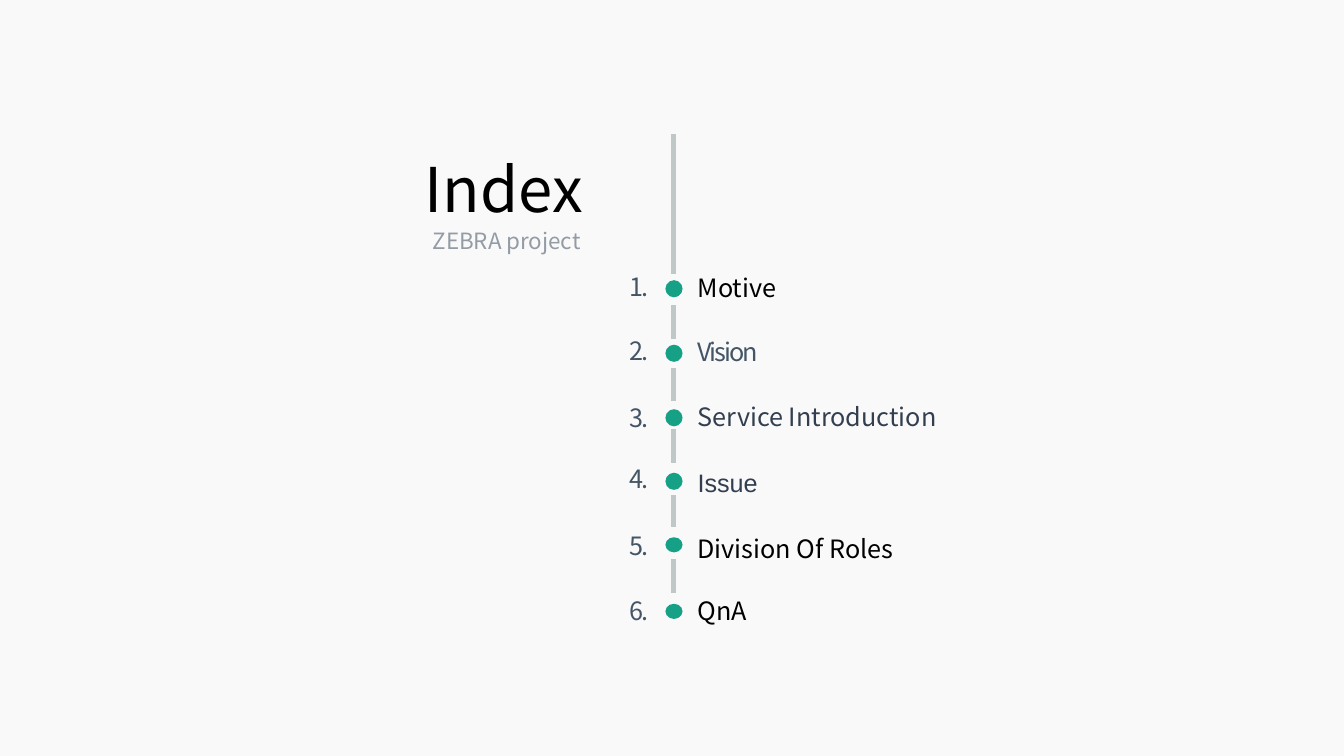
from pptx import Presentation
from pptx.dml.color import RGBColor
from pptx.enum.shapes import MSO_CONNECTOR, MSO_SHAPE
from pptx.enum.text import MSO_AUTO_SIZE as AutoSize, PP_ALIGN as Align
from pptx.oxml.ns import qn
from pptx.util import Inches, Pt
from lxml.etree import SubElement

BACKGROUND = RGBColor(0xF9, 0xF9, 0xF9)
GREEN = RGBColor(0x16, 0xA0, 0x85)
LINE_GRAY = RGBColor(0xBF, 0xC7, 0xC7)
SLATE = RGBColor(0x44, 0x55, 0x66)
NAVY = RGBColor(0x33, 0x3F, 0x50)
SUBTITLE_GRAY = RGBColor(0x93, 0x9B, 0xA5)
BLACK = RGBColor(0, 0, 0)
FONT = "Noto Sans CJK KR"

AXIS_X = 6.68
DOT_WIDTH = 0.17

# Label, its format, then tops of the label, the number and the dot, and dot height
TOPICS = [
    ("Motive", {"color": BLACK}, 2.65, 2.64, 2.78, 0.17),
    ("Vision", {"color": SLATE, "spacing": -1.5}, 3.29, 3.28, 3.42, 0.17),
    ("Service Introduction", {"color": NAVY}, 3.93, 3.94, 4.06, 0.17),
    ("Issue", {"color": NAVY, "font": "Arial"}, 4.59, 4.55, 4.69, 0.17),
    ("Division Of Roles", {"color": BLACK}, 5.24, 5.21, 5.33, 0.15),
    ("QnA", {"color": BLACK}, 5.86, 5.86, 5.99, 0.15),
]
# Top and bottom of each piece of the timeline
SEGMENTS = [(1.33, 2.72), (3.03, 3.36), (3.65, 3.98),
            (4.26, 4.59), (4.91, 5.23), (5.55, 5.88)]


def add_text(page, text, left, top, width, height=0.4, *, color, size=18,
             font=FONT, align=Align.LEFT, spacing=None):
    box = page.shapes.add_textbox(Inches(left), Inches(top),
                                  Inches(width), Inches(height))
    frame = box.text_frame
    frame.word_wrap = True
    frame.auto_size = AutoSize.SHAPE_TO_FIT_TEXT
    para = frame.paragraphs[0]
    para.alignment = align
    span = para.add_run()
    span.text = text
    span.font.size = Pt(size)
    span.font.name = font
    span.font.color.rgb = color
    if spacing is not None:
        span.font._element.set("spc", str(int(spacing * 100)))


def add_dot(page, top, height):
    dot = page.shapes.add_shape(MSO_SHAPE.OVAL, Inches(AXIS_X - 0.08), Inches(top),
                                Inches(DOT_WIDTH), Inches(height))
    dot.shadow.inherit = False
    dot.fill.solid()
    dot.fill.fore_color.rgb = GREEN
    dot.line.fill.background()


def add_segment(page, top, bottom):
    segment = page.shapes.add_connector(MSO_CONNECTOR.STRAIGHT, Inches(AXIS_X),
                                        Inches(top), Inches(AXIS_X), Inches(bottom))
    segment.line.color.rgb = LINE_GRAY
    segment.line.width = Pt(3)
    SubElement(segment._element.spPr, qn("a:effectLst"))


def main():
    deck = Presentation()
    deck.slide_width, deck.slide_height = Inches(13.33), Inches(7.5)
    page = deck.slides.add_slide(deck.slide_layouts[6])
    page.background.fill.solid()
    page.background.fill.fore_color.rgb = BACKGROUND

    # Heading
    add_text(page, "Index", 2.82, 1.45, 3.06, 0.84,
             color=BLACK, size=44, align=Align.RIGHT)
    add_text(page, "ZEBRA project ", 3.12, 2.2, 3.86, 0.37,
             color=SUBTITLE_GRAY, size=16, align=Align.CENTER)

    # Timeline
    for top, bottom in SEGMENTS:
        add_segment(page, top, bottom)

    # Numbered topics
    for number, topic in enumerate(TOPICS, start=1):
        label, label_format, label_top, number_top, dot_top, dot_height = topic
        add_dot(page, dot_top, dot_height)
        add_text(page, f"{number}.", 6.04, number_top, 0.6,
                 color=SLATE, align=Align.CENTER, spacing=-1.5)
        add_text(page, label, 6.82, label_top, 3.95, **label_format)

    deck.save("out.pptx")


if __name__ == "__main__":
    main()
